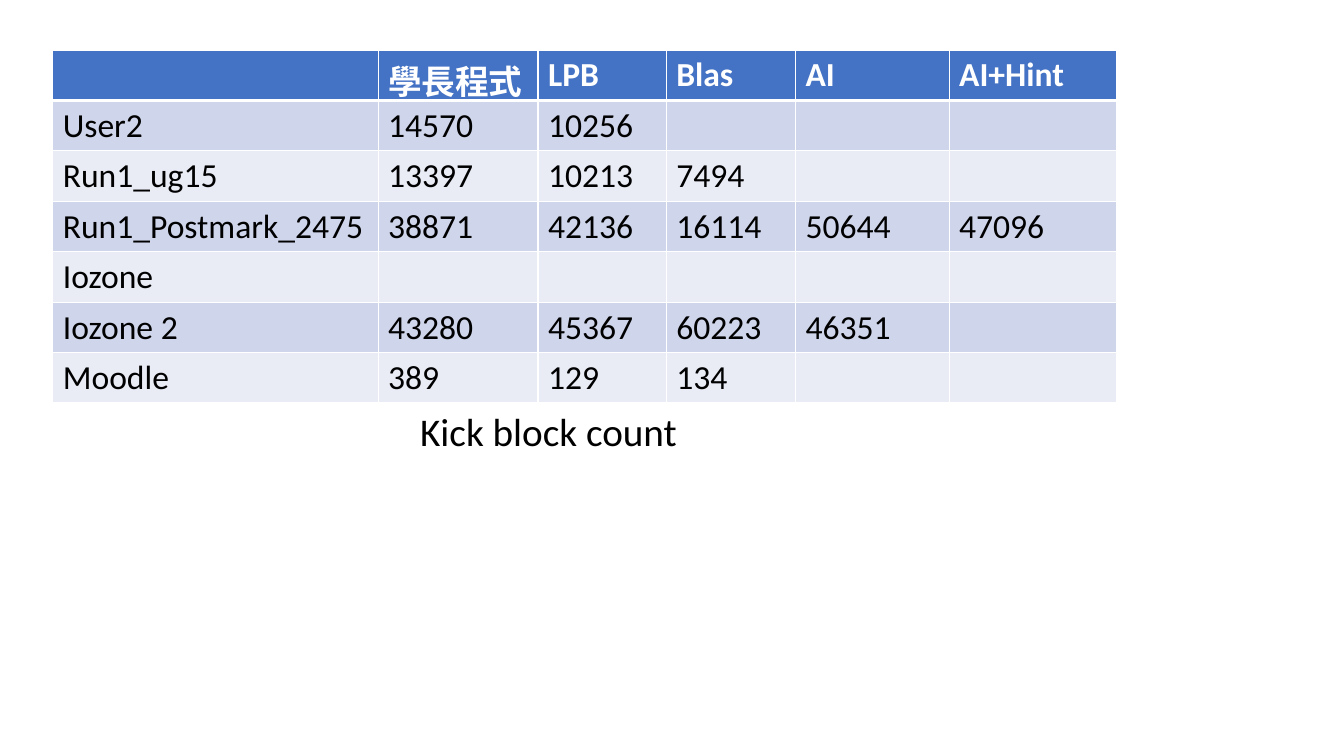
import dataclasses

import lxml.etree
import pptx
import pptx.dml.color
import pptx.enum.text
import pptx.oxml.ns
import pptx.slide
import pptx.table
import pptx.text.text
import pptx.util

Cm = pptx.util.Cm
Pt = pptx.util.Pt


@dataclasses.dataclass(frozen=True)
class Theme:
    font: str = "Calibri"
    header_fill: str = "4472C4"
    band_fills: tuple[str, str] = ("CFD5EA", "E9EBF5")
    white: str = "FFFFFF"
    black: str = "000000"
    table_size: int = 24
    caption_size: int = 28
    thin_border: int = 1
    header_border: int = 3


@dataclasses.dataclass(frozen=True)
class Column:
    heading: str
    width: float


@dataclasses.dataclass(frozen=True)
class Workload:
    name: str
    counts: tuple[str, ...] = ()


THEME = Theme()
ROW_HEIGHT = 1.27

COLUMNS = [
    Column("", 8.2),
    Column("學長程式", 4.03),
    Column("LPB", 3.23),
    Column("Blas", 3.26),
    Column("AI", 3.87),
    Column("AI+Hint", 4.23),
]

WORKLOADS = [
    Workload("User2", ("14570", "10256")),
    Workload("Run1_ug15", ("13397", "10213", "7494")),
    Workload("Run1_Postmark_2475", ("38871", "42136", "16114", "50644", "47096")),
    Workload("Iozone"),
    Workload("Iozone 2", ("43280", "45367", "60223", "46351")),
    Workload("Moodle", ("389", "129", "134")),
]


def add_run(paragraph: pptx.text.text._Paragraph, text: str, size: int,
            color: str, bold: bool = False) -> None:
    run = paragraph.add_run()
    run.text = text
    run.font.name = THEME.font
    run.font.size = Pt(size)
    run.font.bold = bold
    run.font.color.rgb = pptx.dml.color.RGBColor.from_string(color)


def add_border(cell: pptx.table._Cell, side: str, width: int) -> None:
    qualified = pptx.oxml.ns.qn
    properties = cell._tc.get_or_add_tcPr()
    line = lxml.etree.SubElement(properties, qualified(f"a:ln{side}"), w=str(Pt(width)))
    fill = lxml.etree.SubElement(line, qualified("a:solidFill"))
    lxml.etree.SubElement(fill, qualified("a:srgbClr"), val=THEME.white)


def style_cell(cell: pptx.table._Cell, text: str, row: int) -> None:
    is_header = row == 0
    # The line under the header is shared by the first two rows
    heavy_side = {0: "B", 1: "T"}.get(row)
    for side in "LRTB":
        add_border(cell, side, THEME.header_border if side == heavy_side else THEME.thin_border)
    fill = THEME.header_fill if is_header else THEME.band_fills[(row - 1) % 2]
    cell.fill.solid()
    cell.fill.fore_color.rgb = pptx.dml.color.RGBColor.from_string(fill)
    paragraph = cell.text_frame.paragraphs[0]
    if text:
        color = THEME.white if is_header else THEME.black
        add_run(paragraph, text, THEME.table_size, color, is_header)
    else:
        paragraph.font.size = Pt(THEME.table_size)


def add_count_table(slide: pptx.slide.Slide) -> None:
    rows = [tuple(column.heading for column in COLUMNS)]
    rows += [(workload.name, *workload.counts) for workload in WORKLOADS]
    table = slide.shapes.add_table(
        len(rows), len(COLUMNS), Cm(1.33), Cm(1.26),
        Cm(sum(column.width for column in COLUMNS)), Cm(ROW_HEIGHT * len(rows)),
    ).table
    for table_column, column in zip(table.columns, COLUMNS):
        table_column.width = Cm(column.width)
    for row_index, texts in enumerate(rows):
        table.rows[row_index].height = Cm(ROW_HEIGHT)
        for column_index in range(len(COLUMNS)):
            text = texts[column_index] if column_index < len(texts) else ""
            style_cell(table.cell(row_index, column_index), text, row_index)


def add_caption(slide: pptx.slide.Slide) -> None:
    text_frame = slide.shapes.add_textbox(Cm(10.34), Cm(10.13), Cm(8.15), Cm(1.45)).text_frame
    text_frame.word_wrap = True
    text_frame.auto_size = pptx.enum.text.MSO_AUTO_SIZE.SHAPE_TO_FIT_TEXT
    add_run(text_frame.paragraphs[0], "Kick block count", THEME.caption_size, THEME.black)


def main() -> None:
    presentation = pptx.Presentation()
    presentation.slide_width = Cm(33.87)
    presentation.slide_height = Cm(19.05)
    slide = presentation.slides.add_slide(presentation.slide_layouts[6])

    # Caption below the table
    add_caption(slide)

    # Block counts per workload and method
    add_count_table(slide)

    presentation.save("out.pptx")


if __name__ == "__main__":
    main()
